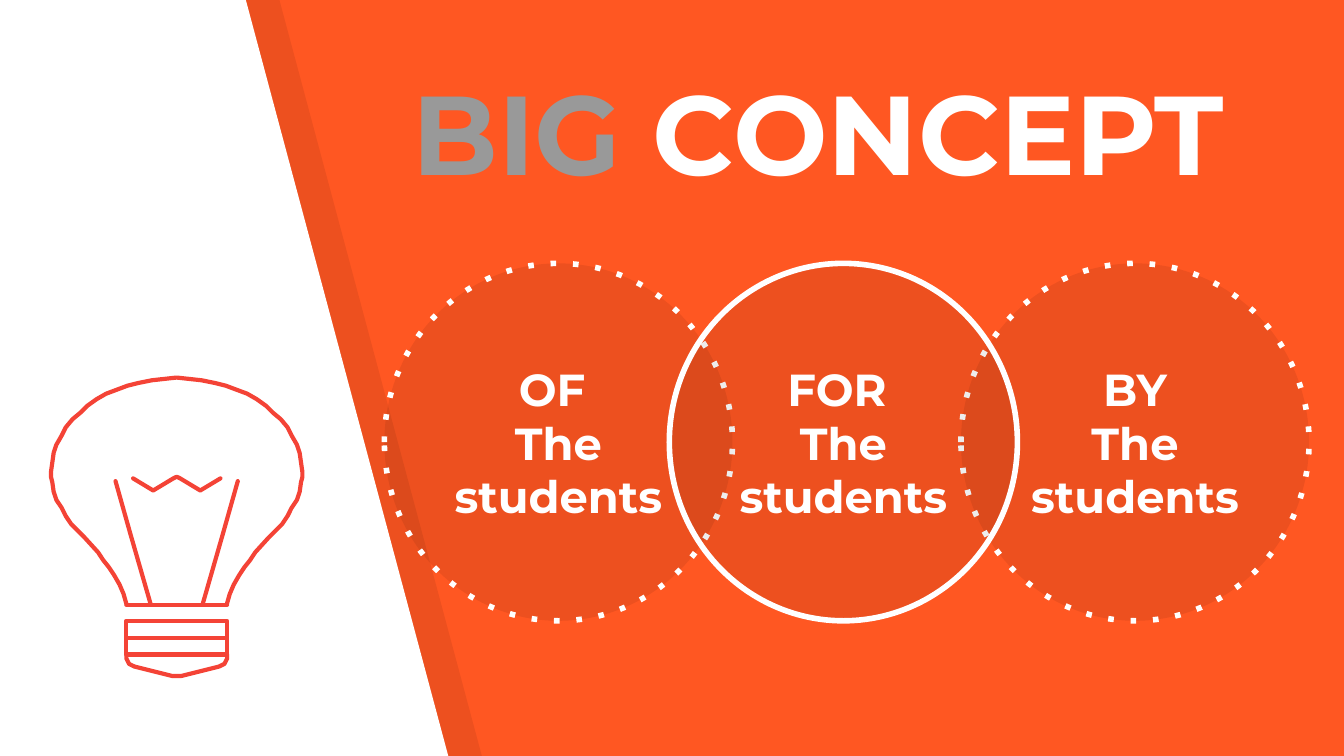
from lxml.etree import SubElement
from pptx import Presentation
from pptx.dml.color import RGBColor
from pptx.enum.shapes import MSO_CONNECTOR, MSO_SHAPE
from pptx.enum.text import MSO_ANCHOR, PP_ALIGN
from pptx.oxml.ns import qn
from pptx.util import Inches, Pt

ORANGE, RED, WHITE, GREY, BLACK = "FF5722", "F44336", "FFFFFF", "999999", "000000"
SHADE = 7  # opacity of the dark overlays, percent


def rgb(value):
    return RGBColor.from_string(value)


class Deck:
    font = "Montserrat"

    def __init__(self, slide):
        self.s = slide

    def fill(self, sp, color, opacity=100):
        sp.fill.solid()
        sp.fill.fore_color.rgb = rgb(color)
        if opacity < 100:
            clr = sp._element.spPr.find(qn("a:solidFill"))[0]
            SubElement(clr, qn("a:alpha")).set("val", str(opacity * 1000))

    def stroke(self, sp, color, width, dash=None):
        sp.line.color.rgb = rgb(color)
        sp.line.width = Pt(width)
        ln = sp.line._get_or_add_ln()
        ln.set("cap", "flat" if dash else "rnd")
        if dash:
            SubElement(ln, qn("a:prstDash")).set("val", dash)
        SubElement(ln, qn("a:round"))

    def outline(self, shapes, points, close=False):
        pts = [(Inches(x), Inches(y)) for x, y in points]
        fb = shapes.build_freeform(*pts[0], scale=1.0)
        fb.add_line_segments(pts[1:], close=close)
        sp = fb.convert_to_shape()
        sp.shadow.inherit = False
        sp.fill.background()
        sp.line.fill.background()
        return sp

    def panel(self, points, color, opacity=100):
        self.fill(self.outline(self.s.shapes, points, True), color, opacity)

    def drawing(self, shapes, points, close=False):
        self.stroke(self.outline(shapes, points, close), RED, 2.25)

    def rule(self, shapes, x1, x2, y):
        cx = shapes.add_connector(MSO_CONNECTOR.STRAIGHT, Inches(x1), Inches(y),
                                  Inches(x2), Inches(y))
        self.stroke(cx, RED, 2.25)
        SubElement(cx._element.spPr, qn("a:effectLst"))

    def style(self, r, size, color):
        r.font.name, r.font.size, r.font.bold = self.font, Pt(size), True
        r.font.color.rgb = rgb(color)

    def frame(self, sp, anchor):
        tf = sp.text_frame
        tf.word_wrap = True
        tf.vertical_anchor = anchor
        tf.margin_left = tf.margin_right = tf.margin_top = tf.margin_bottom = Inches(0.1)
        return tf

    def title(self, x, y, w, h, parts):
        sp = self.s.shapes.add_textbox(Inches(x), Inches(y), Inches(w), Inches(h))
        p = self.frame(sp, MSO_ANCHOR.BOTTOM).paragraphs[0]
        for text, color in parts:
            r = p.add_run()
            r.text = text
            self.style(r, 60, color)

    def circle(self, x, y, w, h, text, dash=None):
        sp = self.s.shapes.add_shape(MSO_SHAPE.OVAL, Inches(x), Inches(y),
                                     Inches(w), Inches(h))
        sp.shadow.inherit = False
        self.fill(sp, BLACK, SHADE)
        self.stroke(sp, WHITE, 3, dash)
        tf = self.frame(sp, MSO_ANCHOR.MIDDLE)
        tf.text = text
        for p in tf.paragraphs:
            p.alignment = PP_ALIGN.CENTER
            for r in p.runs:
                self.style(r, 24, WHITE)


def mirror(points):
    """Reflect points across the bulb's vertical axis, in reverse order."""
    return [(LEFT + RIGHT - x, y) for x, y in reversed(points)]


# Widescreen slide, 16:9
prs = Presentation()
prs.slide_width = Inches(10)
prs.slide_height = prs.slide_width * 9 // 16
s = prs.slides.add_slide(prs.slide_layouts[6])
s.background.fill.solid()
s.background.fill.fore_color.rgb = rgb(ORANGE)
deck = Deck(s)

# Slanted side panel over its shade
for left, color, opacity in [(0.23, BLACK, SHADE), (-0.02, WHITE, 100)]:
    deck.panel([(left, -0.01), (left, 5.64), (left + 3.36, 5.64), (left + 1.85, 0)],
               color, opacity)

# Title
deck.title(2.97, 0.19, 6.59, 1.38, [("BIG ", GREY), ("CONCEPT", WHITE)])

# Light bulb: the right half is given, the left half mirrors it
LEFT, RIGHT = 0.94, 1.69
bulb = s.shapes.add_group_shape().shapes
for top, bottom in [(4.75, 4.87), (4.62, 4.75)]:
    deck.drawing(bulb, [(RIGHT, bottom), (RIGHT, top), (LEFT, top), (LEFT, bottom)], True)

tip = [(1.32, 5.03), (1.35, 5.03), (1.63, 4.96), (1.65, 4.95), (1.67, 4.94),
       (1.68, 4.92), (1.69, 4.9), (1.69, 4.87)]
deck.drawing(bulb, tip + mirror(tip), True)

glass = [(1.69, 4.49), (1.71, 4.42), (1.74, 4.35), (1.78, 4.28), (1.82, 4.22),
         (1.86, 4.17), (1.9, 4.11), (2, 4), (2.05, 3.95), (2.1, 3.9), (2.14, 3.84),
         (2.17, 3.78), (2.21, 3.72), (2.23, 3.66), (2.24, 3.59), (2.25, 3.55),
         (2.25, 3.51), (2.24, 3.44), (2.23, 3.37), (2.21, 3.31), (2.17, 3.24),
         (2.14, 3.18), (2.09, 3.12), (2.03, 3.07), (1.98, 3.02), (1.91, 2.97),
         (1.84, 2.93), (1.76, 2.9), (1.68, 2.87), (1.6, 2.85), (1.5, 2.83),
         (1.41, 2.82), (1.32, 2.81)]
deck.drawing(bulb, glass + mirror(glass))

support = [(1.77, 3.58), (1.66, 3.97), (1.51, 4.49)]
deck.drawing(bulb, support)
deck.drawing(bulb, mirror(support))

filament = [(1.32, 3.55), (1.34, 3.56), (1.49, 3.65), (1.64, 3.56)]
deck.drawing(bulb, mirror(filament) + filament)
deck.rule(bulb, LEFT, RIGHT, 4.5)

# Overlapping circles, the solid one in front
for x, word, dash in [(2.86, "OF ", "dot"), (7.15, "BY", "dot"), (4.98, "FOR ", None)]:
    deck.circle(x, 1.96, 2.59, 2.66, word + "\nThe students", dash)

prs.save("out.pptx")
